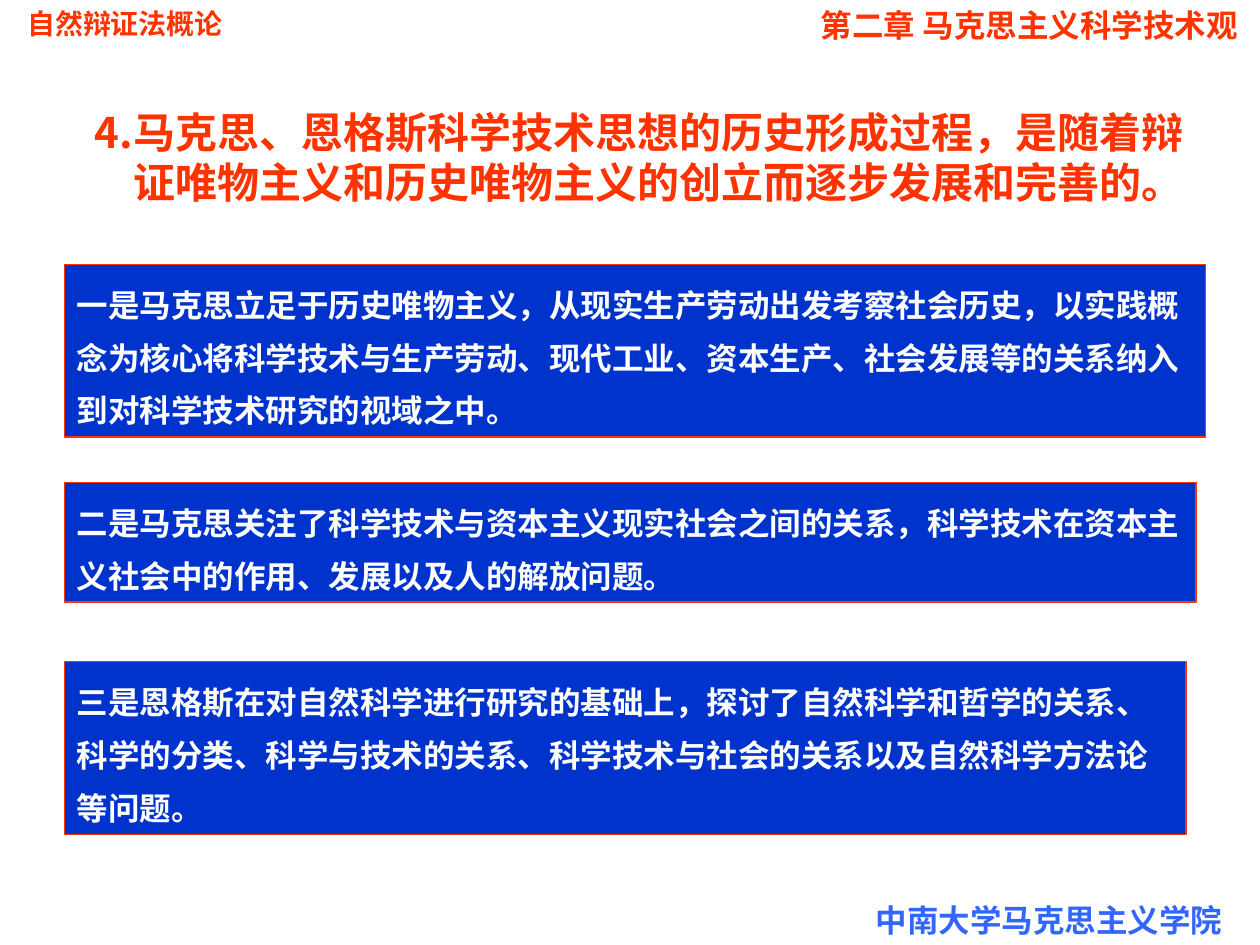
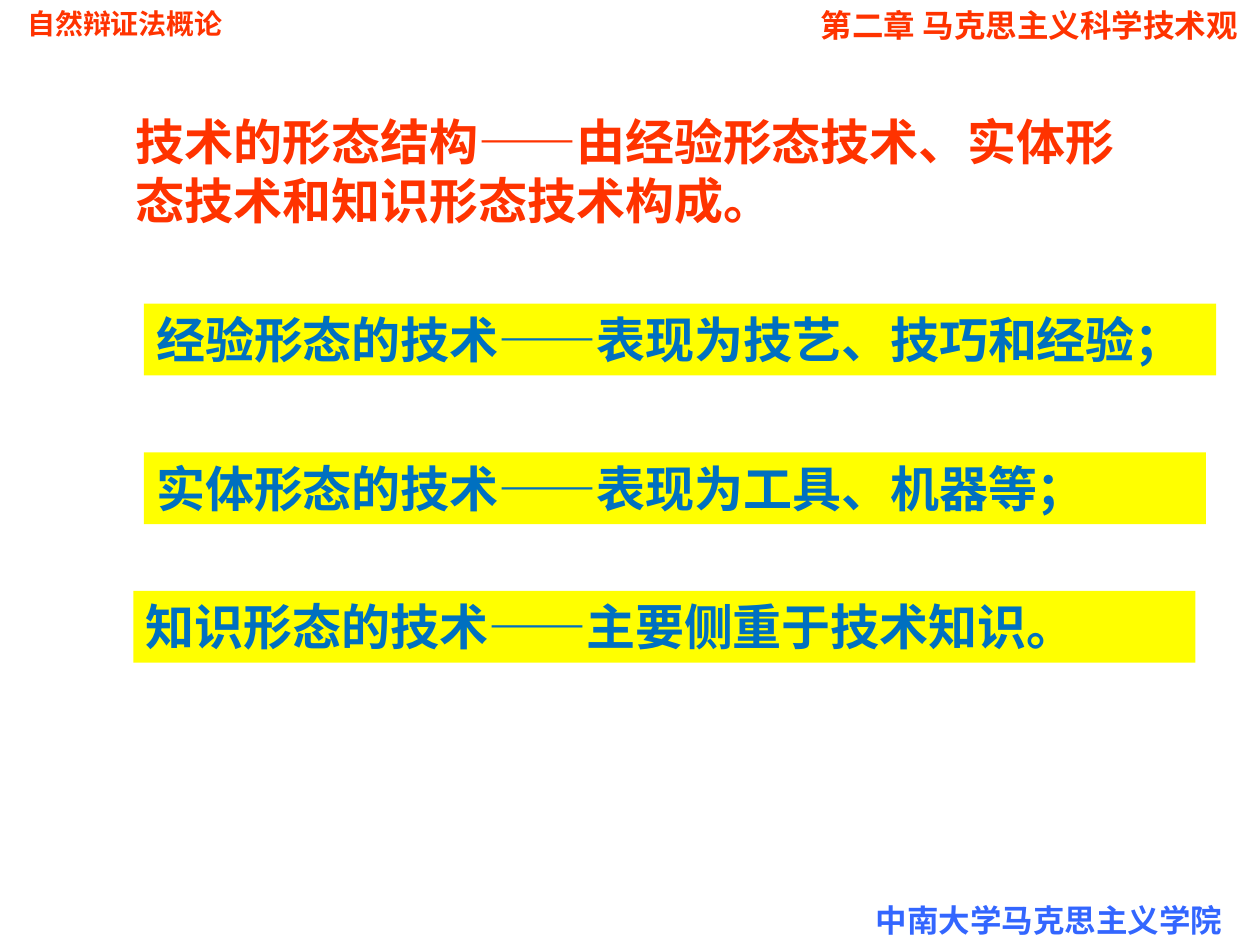
from dataclasses import dataclass
from typing import Optional

from lxml import etree
from pptx import Presentation
from pptx import util as u
from pptx.dml.color import RGBColor
from pptx.enum import lang, shapes, text
from pptx.oxml import ns

RED = RGBColor(0xFF, 0x33, 0x00)
FOOTER_BLUE = RGBColor(0x33, 0x66, 0xFF)
CARD_BLUE = RGBColor(0x00, 0x33, 0xCC)
TEXT_BLUE = RGBColor(0x00, 0x70, 0xC0)
YELLOW = RGBColor(0xFF, 0xFF, 0x00)
WHITE = RGBColor(0xFF, 0xFF, 0xFF)
LATIN = "Arial"
CJK = "Noto Sans CJK SC"
LINE_HEIGHT = 1.2  # line pitch as a multiple of the text size


@dataclass(frozen=True)
class Box:
    """A place on the slide, in centimetres."""
    left: float
    top: float
    width: float
    height: float

    def lengths(self) -> tuple:
        return tuple(u.Cm(v) for v in (self.left, self.top, self.width, self.height))


@dataclass(frozen=True)
class Style:
    size: int
    color: RGBColor
    font: str = LATIN
    align: text.PP_ALIGN = text.PP_ALIGN.LEFT
    anchor: text.MSO_ANCHOR = text.MSO_ANCHOR.TOP
    spacing: float = 1.0
    grow: bool = True
    fill: Optional[RGBColor] = None
    line: Optional[RGBColor] = None


@dataclass(frozen=True)
class Run:
    words: str
    font: Optional[str] = None


@dataclass(frozen=True)
class Block:
    box: Box
    style: Style
    runs: tuple[Run, ...]


def block(box: Box, style: Style, words: str) -> Block:
    return Block(box, style, (Run(words),))


# Text styles
COURSE = Style(16, RED)
CHAPTER = Style(18, RED, align=text.PP_ALIGN.CENTER)
SCHOOL = Style(18, FOOTER_BLUE)
HEADING = Style(24, RED, font=CJK, align=text.PP_ALIGN.RIGHT,
                anchor=text.MSO_ANCHOR.BOTTOM, grow=False)
LEAD = Style(28, RED)
CARD = Style(18, WHITE, spacing=1.4, fill=CARD_BLUE, line=RED)
BAND = Style(28, TEXT_BLUE, fill=YELLOW)

# Header and footer on every slide
FRAME = (
    block(Box(0.3, 0, 9.6, 0.94), COURSE, "自然辩证法概论"),
    block(Box(17.4, 18.03, 8, 1.02), SCHOOL, "中南大学马克思主义学院"),
    block(Box(16.1, 0, 9.3, 1.02), CHAPTER, "第二章 马克思主义科学技术观"),
)

HISTORY = (
    block(Box(1.09, 1.12, 23.01, 3.18), HEADING,
          "4.马克思、恩格斯科学技术思想的历史形成过程，是随着辩证唯物主义和"
          "历史唯物主义的创立而逐步发展和完善的。"),
    block(Box(1.3, 5.33, 23.01, 3.48), CARD,
          "一是马克思立足于历史唯物主义，从现实生产劳动出发考察社会历史，"
          "以实践概念为核心将科学技术与生产劳动、现代工业、资本生产、"
          "社会发展等的关系纳入到对科学技术研究的视域之中。"),
    block(Box(1.3, 9.73, 22.81, 2.41), CARD,
          "二是马克思关注了科学技术与资本主义现实社会之间的关系，"
          "科学技术在资本主义社会中的作用、发展以及人的解放问题。"),
    block(Box(1.3, 13.34, 22.61, 3.48), CARD,
          "三是恩格斯在对自然科学进行研究的基础上，探讨了自然科学和哲学的关系、"
          "科学的分类、科学与技术的关系、科学技术与社会的关系以及"
          "自然科学方法论等问题。"),
)

TECHNOLOGY_FORMS = (
    Block(Box(2.49, 2.13, 20.4, 2.62), LEAD, (
        Run("技术的形态结构"),
        Run("——", CJK),
        Run("由经验形态技术、实体形态技术和知识形态技术构成。"),
    )),
    block(Box(2.9, 6.12, 21.62, 1.45), BAND, "经验形态的技术——表现为技艺、技巧和经验；"),
    block(Box(2.9, 9.12, 21.41, 1.45), BAND, "实体形态的技术——表现为工具、机器等；"),
    block(Box(2.69, 11.91, 21.41, 1.45), BAND, "知识形态的技术——主要侧重于技术知识。"),
)


def add_run(p, run: Run, style: Style) -> None:
    r = p.add_run()
    r.text = run.words
    r.font.size = u.Pt(style.size)
    r.font.bold = True
    r.font.color.rgb = style.color
    r.font.name = run.font or style.font
    r.font.language_id = lang.MSO_LANGUAGE_ID.SIMPLIFIED_CHINESE
    # East Asian typeface follows the latin one
    ea = etree.Element(ns.qn("a:ea"), typeface=CJK)
    r.font._element.find(ns.qn("a:latin")).addnext(ea)


def add_block(s, item: Block) -> None:
    style = item.style
    if style.fill is None:
        sp = s.shapes.add_textbox(*item.box.lengths())
    else:
        sp = s.shapes.add_shape(shapes.MSO_SHAPE.RECTANGLE, *item.box.lengths())
        sp.shadow.inherit = False
        sp.fill.solid()
        sp.fill.fore_color.rgb = style.fill
        if style.line is None:
            sp.line.fill.background()
        else:
            sp.line.color.rgb = style.line
            sp.line.width = u.Pt(0.75)
    tf = sp.text_frame
    tf.word_wrap = True
    tf.auto_size = (text.MSO_AUTO_SIZE.SHAPE_TO_FIT_TEXT if style.grow
                    else text.MSO_AUTO_SIZE.NONE)
    tf.vertical_anchor = style.anchor
    p = tf.paragraphs[0]
    p.alignment = style.align
    p.line_spacing = u.Pt(style.size * LINE_HEIGHT * style.spacing)
    for run in item.runs:
        add_run(p, run, style)


def main() -> None:
    prs = Presentation()
    prs.slide_width, prs.slide_height = u.Cm(25.4), u.Cm(19.05)
    for content in (HISTORY, TECHNOLOGY_FORMS):
        s = prs.slides.add_slide(prs.slide_layouts[6])
        for item in FRAME + content:
            add_block(s, item)
    prs.save("out.pptx")


if __name__ == "__main__":
    main()
